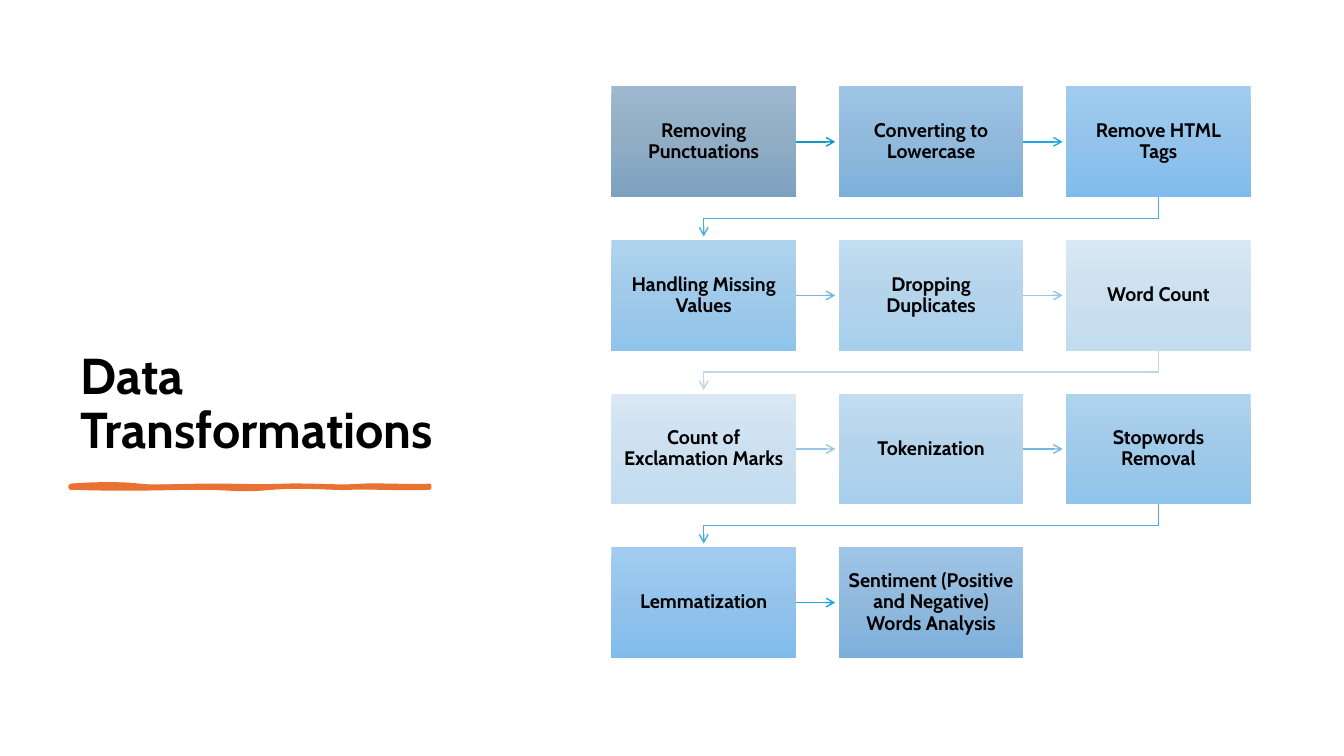
from copy import deepcopy
from dataclasses import dataclass

from lxml.etree import SubElement
from pptx import Presentation
from pptx.dml.color import RGBColor
from pptx.enum.shapes import MSO_SHAPE
from pptx.enum.text import MSO_ANCHOR, PP_ALIGN
from pptx.oxml.ns import qn
from pptx.util import Cm, Pt


@dataclass(frozen=True)
class Theme:
    font: str = "Cabin"
    text: str = "000000"
    accent: str = "E97132"
    title_size: int = 36
    step_size: int = 14
    arrow_width: int = 1
    brush_width: int = 3
    # Top, middle and bottom of each box gradient, from dark to light
    boxes: tuple = (
        ("9EB8CF", "90ADC4", "7CA1C0"),
        ("9EC4E6", "91B9DC", "7CB0DC"),
        ("A1CCEF", "93C3EB", "7FBCED"),
        ("AED3EE", "A0CAEA", "8FC4EB"),
        ("C2DCF0", "B4D4EC", "A7CFEC"),
        ("D9E8F4", "CCE0F0", "C4DCF0"),
    )
    arrows: tuple = ("0E97CB", "1DA7E6", "49AEE3", "72B8E3", "99C6E6", "BDD6EB")


THEME = Theme()

STEPS = (
    "Removing Punctuations", "Converting to Lowercase", "Remove HTML Tags",
    "Handling Missing Values", "Dropping Duplicates", "Word Count",
    "Count of Exclamation Marks", "Tokenization", "Stopwords Removal",
    "Lemmatization", "Sentiment (Positive and Negative) Words Analysis",
)

# Step grid, in cm
COLUMNS = 3
LEFT, TOP = 15.41, 2.18
BOX_W, BOX_H = 4.65, 2.79
GAP = 1.08
ARROW = 0.99
BEND = 0.54

# Brush stroke in cm: a start point, then three points for each Bezier curve
BRUSH_EDGE = (
    (1.78, 12.24),
    (2.46, 12.19), (3.07, 12.19), (3.51, 12.24),
    (3.94, 12.29), (4.5, 12.24), (5.31, 12.24),
    (6.12, 12.24), (6.6, 12.27), (7.21, 12.24),
    (7.82, 12.22), (8.61, 12.29), (9.12, 12.24),
    (9.63, 12.22), (10.46, 12.27), (10.82, 12.24),
    (10.82, 12.27), (10.82, 12.29), (10.82, 12.29),
    (10.36, 12.32), (9.25, 12.27), (8.84, 12.29),
    (8.43, 12.32), (7.72, 12.22), (6.86, 12.29),
    (5.97, 12.37), (5.87, 12.29), (5.05, 12.29),
    (4.22, 12.29), (3.35, 12.34), (1.78, 12.29),
    (1.78, 12.29), (1.78, 12.27), (1.78, 12.24),
)
BRUSH_BODY = (
    (1.78, 12.24),
    (2.59, 12.29), (2.79, 12.27), (3.51, 12.24),
    (4.22, 12.22), (4.29, 12.19), (5.05, 12.24),
    (5.79, 12.29), (6.63, 12.27), (7.04, 12.24),
    (7.44, 12.22), (8.31, 12.32), (8.74, 12.24),
    (9.19, 12.19), (10.08, 12.34), (10.82, 12.24),
    (10.82, 12.27), (10.82, 12.27), (10.82, 12.29),
    (10.46, 12.29), (9.45, 12.37), (9.02, 12.29),
    (8.59, 12.24), (7.85, 12.29), (7.04, 12.29),
    (6.2, 12.29), (6.1, 12.27), (5.49, 12.29),
    (4.9, 12.32), (4.55, 12.27), (3.68, 12.29),
    (2.82, 12.32), (2.34, 12.29), (1.78, 12.29),
    (1.78, 12.27), (1.78, 12.27), (1.78, 12.24),
)


def rgb(value):
    return RGBColor.from_string(value)


def write(sp, text, *, size, align=PP_ALIGN.LEFT, anchor=MSO_ANCHOR.MIDDLE,
          inset_x=0.23, inset_y=0.23):
    """Fill a shape with one bold paragraph; a vertical tab breaks the line."""
    tf = sp.text_frame
    tf.word_wrap = True
    tf.vertical_anchor = anchor
    tf.margin_left = tf.margin_right = Cm(inset_x)
    tf.margin_top = tf.margin_bottom = Cm(inset_y)
    p = tf.paragraphs[0]
    p.text = text
    p.alignment = align
    p.line_spacing = 0.9
    for r in p.runs:
        r.font.name = THEME.font
        r.font.size = Pt(size)
        r.font.bold = True
        r.font.color.rgb = rgb(THEME.text)


def add_title(s, text):
    sp = s.shapes.add_textbox(Cm(1.78), Cm(1.78), Cm(9.93), Cm(9.93))
    write(sp, text, size=THEME.title_size, anchor=MSO_ANCHOR.BOTTOM,
          inset_x=0.25, inset_y=0.13)


def add_outline(s, *contours, close=False):
    """Draw contours, each a chain of points in cm, as one unfilled shape."""
    contours = [[(Cm(x), Cm(y)) for x, y in points] for points in contours]
    builder = s.shapes.build_freeform(*contours[0][0])
    for i, (start, *rest) in enumerate(contours):
        if i:
            builder.move_to(*start)
        builder.add_line_segments(rest, close=close)
    sp = builder.convert_to_shape()
    sp.shadow.inherit = False
    sp.fill.background()
    return sp


def set_line(sp, color, width):
    sp.line.color.rgb = rgb(color)
    sp.line.width = Pt(width)


def curve_segments(path):
    """Join every three line segments of a path into one Bezier curve."""
    lines = path.findall(qn("a:lnTo"))
    for i in range(0, len(lines), 3):
        curve = path.makeelement(qn("a:cubicBezTo"))
        lines[i].addprevious(curve)
        for line in lines[i:i + 3]:
            curve.append(line[0])
            path.remove(line)


def add_brush_stroke(s):
    """Draw a stroked edge and a filled body as two paths of one shape."""
    sp = add_outline(s, BRUSH_EDGE, BRUSH_BODY, close=True)
    sp.fill.solid()
    sp.fill.fore_color.rgb = rgb(THEME.accent)
    set_line(sp, THEME.accent, THEME.brush_width)
    edge = next(sp._element.iter(qn("a:path")))
    curve_segments(edge)
    body = deepcopy(edge)
    edge.addnext(body)
    half = len(edge) // 2
    for part in edge[half:]:
        edge.remove(part)
    for part in body[:half]:
        body.remove(part)
    edge.set("fill", "none")
    body.set("stroke", "0")


def set_gradient(sp, colors):
    """Run evenly spaced colours from top to bottom."""
    sp.fill.gradient()
    sp.fill.gradient_angle = 270
    stops = sp._element.spPr.find(qn("a:gradFill")).find(qn("a:gsLst"))
    while len(stops) < len(colors):
        stops.append(deepcopy(stops[0]))
    for i, (stop, color) in enumerate(zip(sp.fill.gradient_stops, colors)):
        stop.position = i / (len(colors) - 1)
        stop.color.rgb = rgb(color)


def add_step(s, text, x, y, colors):
    sp = s.shapes.add_shape(MSO_SHAPE.RECTANGLE, Cm(x), Cm(y), Cm(BOX_W), Cm(BOX_H))
    sp.shadow.inherit = False
    sp.line.fill.background()
    set_gradient(sp, colors)
    write(sp, text, size=THEME.step_size, align=PP_ALIGN.CENTER)


def add_arrow(s, points, color):
    sp = add_outline(s, points)
    set_line(sp, color, THEME.arrow_width)
    SubElement(sp.line._get_or_add_ln(), qn("a:tailEnd"), type="arrow")


def arrow_right(x, y):
    return (x, y), (x + ARROW, y)


def arrow_to_next_row(x, y):
    first_x = LEFT + BOX_W / 2
    return (x, y), (x, y + BEND), (first_x, y + BEND), (first_x, y + ARROW)


def add_flow(s):
    """Lay the steps out row by row; shades lighten to the middle and darken again."""
    count = len(STEPS)
    for i, text in enumerate(STEPS):
        row, column = divmod(i, COLUMNS)
        x = LEFT + column * (BOX_W + GAP)
        y = TOP + row * (BOX_H + GAP)
        if i < count - 1:
            if column < COLUMNS - 1:
                points = arrow_right(x + BOX_W, y + BOX_H / 2)
            else:
                points = arrow_to_next_row(x + BOX_W / 2, y + BOX_H)
            add_arrow(s, points, THEME.arrows[min(i, count - 1 - i)])
        add_step(s, text, x, y, THEME.boxes[min(i, count - i)])


def main():
    prs = Presentation()
    prs.slide_width, prs.slide_height = Cm(33.87), Cm(19.05)
    s = prs.slides.add_slide(prs.slide_layouts[6])
    add_title(s, "Data\vTransformations")
    add_brush_stroke(s)
    add_flow(s)
    prs.save("out.pptx")


if __name__ == "__main__":
    main()
